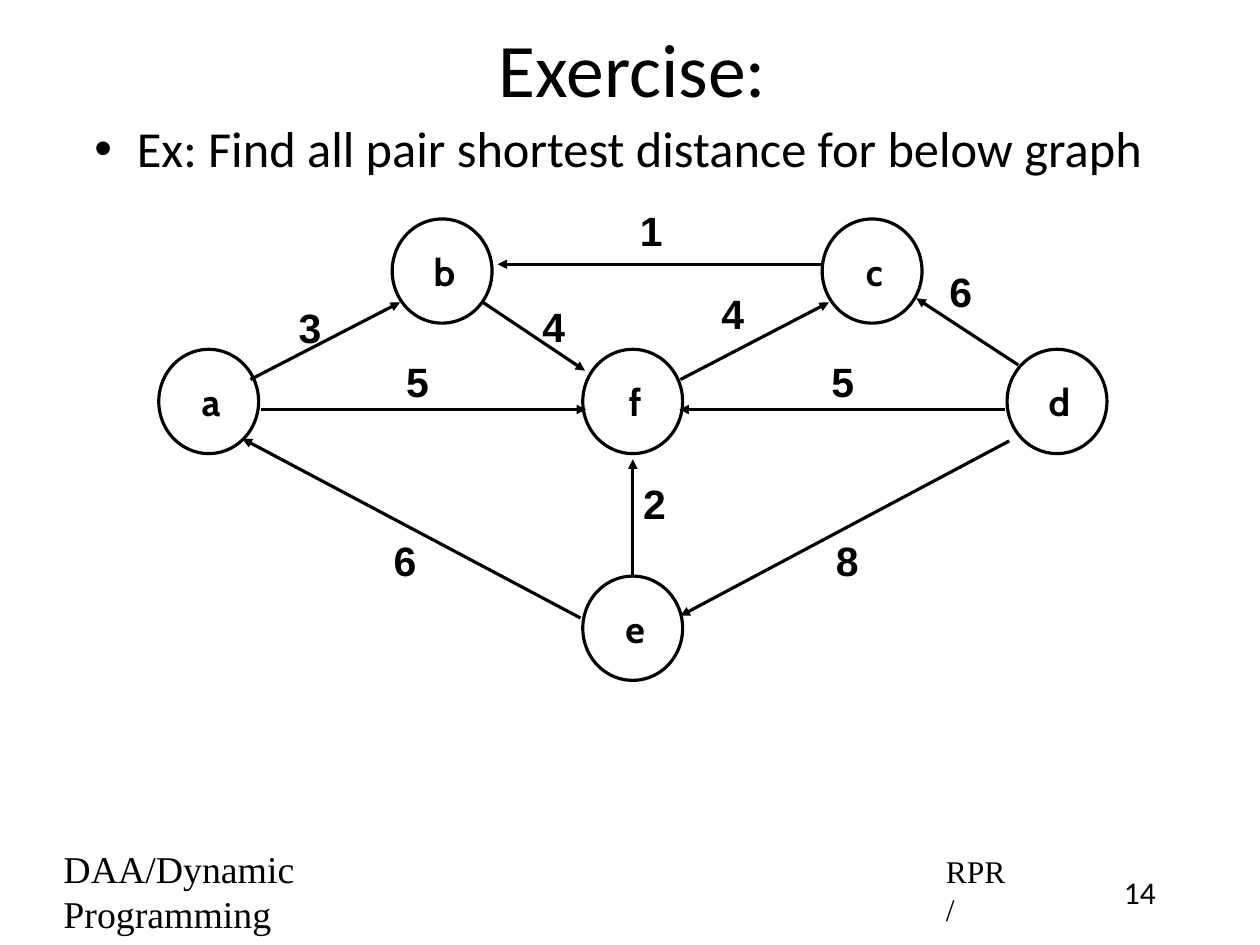
from lxml import etree
from pptx import Presentation
from pptx.dml.color import RGBColor
from pptx.enum import shapes, text
from pptx.oxml import ns
from pptx.util import Pt

NODE_WIDTH, NODE_HEIGHT = 63.4, 66.2
TOP_ROW, MIDDLE_ROW, BOTTOM_ROW = 139, 221.8, 365.8
NODES = {
    "a": (100.8, MIDDLE_ROW),
    "b": (249, TOP_ROW),
    "c": (522, TOP_ROW),
    "d": (639.4, MIDDLE_ROW),
    "e": (370, BOTTOM_ROW),
    "f": (370, MIDDLE_ROW),
}
EDGES = [
    ("3", (159, 241), (254, 192), (182.2, 188.6, 22.3, 38.9)),
    ("4", (432, 241), (526.3, 192), (450.7, 170, 37.4, 57.6)),
    ("8", (640.8, 280), (432, 391), (523.4, 326.9, 37.4, 57.6)),
    ("6", (368.6, 392.4), (154, 278.6), (242.6, 326.9, 37.4, 57.6)),
    ("4", (306.7, 192), (371.5, 235.4), (337, 188.6, 28.8, 37.4)),
    ("6", (646.6, 231.8), (581.8, 189.4), (595.4, 163.4, 37.4, 43.2)),
    ("5", (638, 260), (431.3, 260), (520.6, 213, 37.4, 57.6)),
    ("5", (165.6, 260), (372.2, 260), (250.6, 213, 37.4, 57.6)),
    ("1", (523.4, 167.8), (316, 167.8), (398.9, 117.4, 37.4, 57.6)),
    ("2", (401.8, 366.5), (401.8, 291.6), (401, 298, 22.3, 43.2)),
]


def color(value):
    return RGBColor.from_string(value)


class GraphSlide:
    """Draws text, nodes and arrows in one style on the current slide."""

    ink = "000000"
    line_width = 2
    inset = 4.3
    indent = 3

    def __init__(self, slide):
        self.slide = slide

    def set_words(self, shape, words, font, size, bold=False, centered=False,
                  middle=True, indent=indent, hanging=0, bullet=None, right_inset=inset):
        frame = shape.text_frame
        frame.word_wrap = True
        frame.vertical_anchor = text.MSO_ANCHOR.MIDDLE if middle else text.MSO_ANCHOR.TOP
        frame.margin_left = frame.margin_top = frame.margin_bottom = Pt(self.inset)
        frame.margin_right = Pt(right_inset)
        paragraph = frame.paragraphs[0]
        paragraph.text = words
        paragraph.alignment = text.PP_ALIGN.CENTER if centered else text.PP_ALIGN.LEFT
        properties = paragraph._p.get_or_add_pPr()
        properties.set("marL", str(Pt(indent)))
        properties.set("indent", str(Pt(-hanging)))
        if bullet:
            paragraph.line_spacing = 0.9
            etree.SubElement(properties, ns.qn("a:buFont"), typeface="Arial")
            etree.SubElement(properties, ns.qn("a:buChar"), char=bullet)
        paragraph.font.name = font
        paragraph.font.size = Pt(size)
        paragraph.font.bold = bold
        paragraph.font.color.rgb = color(self.ink)

    def label(self, box, words, font, size, **style):
        shape = self.slide.shapes.add_textbox(*map(Pt, box))
        self.set_words(shape, words, font, size, **style)

    def node(self, name, left, top):
        box = map(Pt, (left, top, NODE_WIDTH, NODE_HEIGHT))
        circle = self.slide.shapes.add_shape(shapes.MSO_SHAPE.OVAL, *box)
        circle.shadow.inherit = False
        circle.fill.background()
        circle.line.color.rgb = color(self.ink)
        circle.line.width = Pt(self.line_width)
        self.set_words(circle, name, "Cabin", 24, bold=True, centered=True)

    def arrow(self, start, end):
        edge = self.slide.shapes.add_connector(
            shapes.MSO_CONNECTOR.STRAIGHT, *map(Pt, start + end))
        edge.line.color.rgb = color(self.ink)
        edge.line.width = Pt(self.line_width)
        etree.SubElement(edge.line._get_or_add_ln(), ns.qn("a:tailEnd"), type="triangle")
        etree.SubElement(edge._element.spPr, ns.qn("a:effectLst"))


def main():
    deck = Presentation()
    deck.slide_width, deck.slide_height = Pt(800), Pt(600)
    page = GraphSlide(deck.slides.add_slide(deck.slide_layouts[6]))

    page.label((60, 5, 680, 75), "Exercise:", "Calibri", 48, centered=True)
    page.label((52.6, 74.2, 712.8, 54.7),
               "Ex: Find all pair shortest distance for below graph",
               "Calibri", 32, middle=False, indent=30, hanging=27, bullet="•")

    for name, (left, top) in NODES.items():
        page.node(name, left, top)
    for weight, start, end, box in EDGES:
        page.arrow(start, end)
        page.label(box, weight, "Arial", 26, bold=True)

    page.label((33, 548.6, 296.6, 33.8), "DAA/Dynamic Programming",
               "Times New Roman", 24, right_inset=100)
    page.label((593.3, 550, 55.4, 30.2), "RPR/", "Times New Roman", 20, right_inset=8)
    page.label((700, 550, 47.5, 30.2), "14", "Calibri", 20,
               centered=True, middle=False, indent=0)
    deck.save("out.pptx")


if __name__ == "__main__":
    main()
